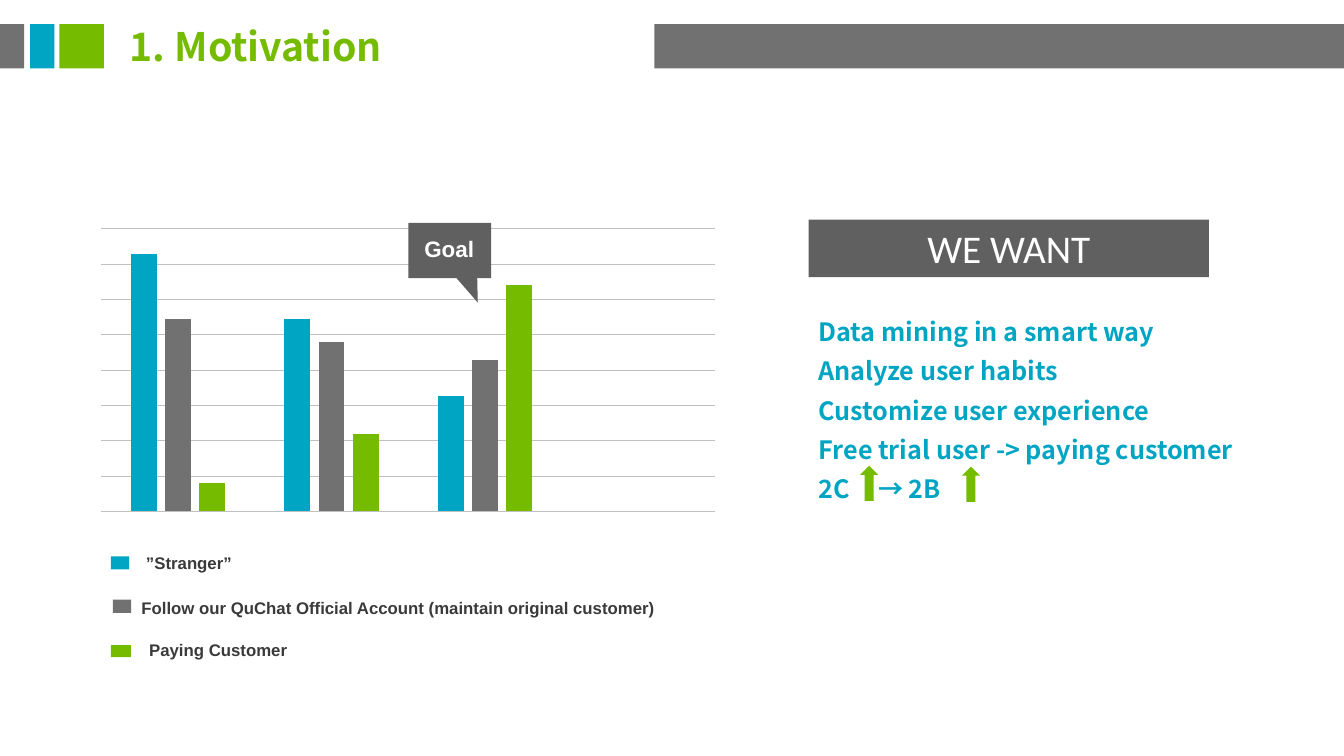
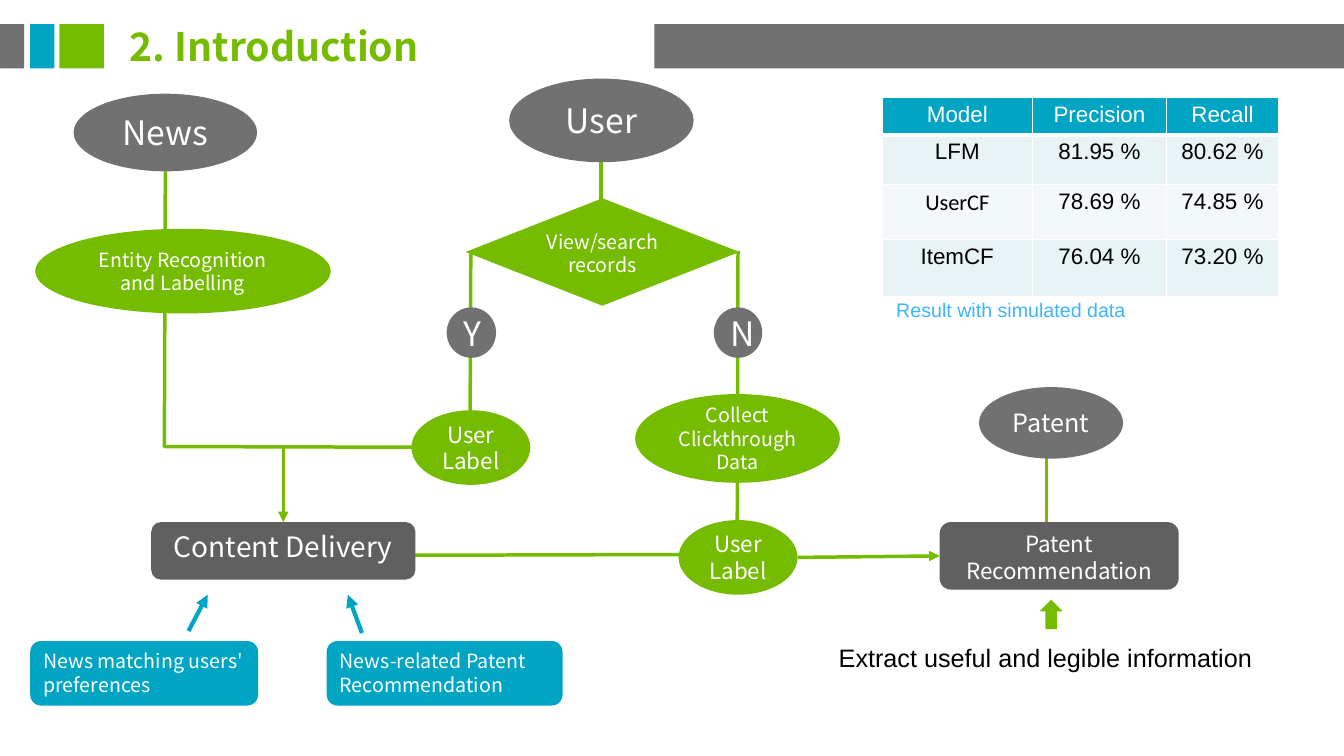
from lxml import etree
from pptx import Presentation
from pptx.chart.data import CategoryChartData
from pptx.dml.color import RGBColor
from pptx.enum.chart import XL_CHART_TYPE
from pptx.enum.shapes import MSO_CONNECTOR, MSO_SHAPE
from pptx.enum.text import MSO_ANCHOR, PP_ALIGN
from pptx.oxml import parse_xml
from pptx.oxml.ns import nsdecls, qn
from pptx.util import Inches, Pt

RECT, ROUNDED = MSO_SHAPE.RECTANGLE, MSO_SHAPE.ROUNDED_RECTANGLE
OVAL, DIAMOND = MSO_SHAPE.OVAL, MSO_SHAPE.DIAMOND
UP_ARROW, CALLOUT = MSO_SHAPE.UP_ARROW, MSO_SHAPE.RECTANGULAR_CALLOUT
LEFT, CENTER = PP_ALIGN.LEFT, PP_ALIGN.CENTER
TOP, MIDDLE = MSO_ANCHOR.TOP, MSO_ANCHOR.MIDDLE
STRAIGHT = MSO_CONNECTOR.STRAIGHT
COLUMNS = XL_CHART_TYPE.COLUMN_CLUSTERED
SANS, ARIAL, CALIBRI = "Noto Sans CJK SC", "Arial", "Calibri"
COLORS = {
    name: RGBColor.from_string(value)
    for name, value in {
        "blue": "00A5C4", "gray": "717171", "green": "75BB00", "dark": "606060",
        "white": "FFFFFF", "black": "000000", "ink": "3A3A3A", "sky": "3DB4FF",
        "grid": "C0C0C0", "odd": "E7F3F4", "even": "F3F9FA",
    }.items()
}


def add_block(slide, geometry, box, fill=None, text="", size=14, color="white",
              font=SANS, bold=False, align=CENTER, anchor=TOP):
    place = [Inches(value) for value in box]
    if geometry is None:
        block = slide.shapes.add_textbox(*place)
    else:
        block = slide.shapes.add_shape(geometry, *place)
        block.shadow.inherit = False
        block.fill.solid()
        block.fill.fore_color.rgb = COLORS[fill]
        block.line.fill.background()
    if text:
        frame = block.text_frame
        frame.word_wrap = True
        frame.vertical_anchor = anchor
        frame.text = text
        for paragraph in frame.paragraphs:
            paragraph.alignment = align
            for run in paragraph.runs:
                run.font.name = font
                run.font.size = Pt(size)
                run.font.bold = bold
                run.font.color.rgb = COLORS[color]
    return block


def add_line(slide, ends, color="green", width=2.5, arrow=False):
    line = slide.shapes.add_connector(STRAIGHT, *[Inches(value) for value in ends])
    line.line.color.rgb = COLORS[color]
    line.line.width = Pt(width)
    if arrow:
        etree.SubElement(line.line._get_or_add_ln(), qn("a:tailEnd"), type="triangle")
    etree.SubElement(line._element.spPr, qn("a:effectLst"))
    return line


prs = Presentation()
prs.slide_width, prs.slide_height = Inches(13.33), Inches(7.5)

slides = []
for title in ("1. Motivation", "2. Introduction"):
    slide = prs.slides.add_slide(prs.slide_layouts[6])
    for left, width, color in ((0, 0.24, "gray"), (0.3, 0.24, "blue"),
                               (0.59, 0.44, "green"), (6.49, 6.84, "gray")):
        add_block(slide, RECT, (left, 0.24, width, 0.44), color)
    add_block(slide, None, (1.19, 0.17, 5.29, 0.57), text=title, size=28,
              color="green", bold=True, align=LEFT)
    slides.append(slide)
motivation, introduction = slides

customer_data = CategoryChartData()
customer_data.categories = ["1", "2", "3", "4"]
customer_data.add_series("Series 1", (100, 75, 45, None))
customer_data.add_series("Series 2", (75, 66, 59, None))
customer_data.add_series("Series 3", (11, 30, 88, None))
customers = motivation.shapes.add_chart(
    COLUMNS, Inches(0.81), Inches(2.08), Inches(6.48), Inches(3.15), customer_data).chart
customers.has_legend = False
customers.has_title = False
customers.font.name = ARIAL
customers.font.size = Pt(10)
customers.font.color.rgb = COLORS["black"]
customers.category_axis.visible = False
amount = customers.value_axis
amount.visible = False
amount.minimum_scale, amount.maximum_scale, amount.major_unit = 0, 110, 13.75
amount.has_major_gridlines = True
amount.major_gridlines.format.line.color.rgb = COLORS["grid"]
amount.major_gridlines.format.line.width = Pt(0.25)
columns = customers.plots[0]
columns.gap_width, columns.overlap = 230, -32
columns.vary_by_categories = False
for series, color in zip(columns.series, ("blue", "gray", "green")):
    series.format.fill.solid()
    series.format.fill.fore_color.rgb = COLORS[color]
plot_area = customers._chartSpace.chart.plotArea
for old_layout in plot_area.findall(qn("c:layout")):
    plot_area.remove(old_layout)
plot_area.insert(0, parse_xml(
    f'<c:layout {nsdecls("c")}><c:manualLayout><c:layoutTarget val="inner"/>'
    '<c:xMode val="edge"/><c:yMode val="edge"/><c:x val="0.03"/><c:y val="0.06"/>'
    '<c:w val="0.94"/><c:h val="0.89"/></c:manualLayout></c:layout>'))

for key_box, color, label_box, label, align in (
    ((1.1, 5.52, 0.18, 0.13), "blue", (1.35, 5.43, 1.57, 0.3), "”Stranger”", LEFT),
    ((1.12, 5.95, 0.18, 0.13), "gray", (1.14, 5.88, 5.62, 0.3),
     "Follow our QuChat Official Account (maintain original customer)", CENTER),
    ((1.1, 6.4, 0.2, 0.12), "green", (1, 6.3, 2.33, 0.3), "Paying Customer", CENTER),
):
    add_block(motivation, RECT, key_box, color)
    add_block(motivation, None, label_box, text=label, size=12, color="ink",
              font=ARIAL, bold=True, align=align)

goal = add_block(motivation, CALLOUT, (4.05, 2.21, 0.82, 0.55), "dark")
goal.adjustments[0], goal.adjustments[1] = 0.34, 0.94
add_block(motivation, None, (2.06, 2.28, 4.79, 0.41), text="Goal", size=16,
          font=ARIAL, bold=True)

add_block(motivation, RECT, (8.02, 2.18, 3.97, 0.57), "dark", "WE WANT", 28, font=CALIBRI)
wishes = add_block(
    motivation, None, (8.02, 3, 4.89, 2.07),
    text="Data mining in a smart way\nAnalyze user habits\nCustomize user experience\n"
         "Free trial user -> paying customer\n2C\t→ 2B",
    size=18, color="blue", bold=True, align=LEFT).text_frame.paragraphs
for wish in wishes:
    wish.line_spacing = 1.3
tabs = etree.SubElement(wishes[-1]._p.get_or_add_pPr(), qn("a:tabLst"))
etree.SubElement(tabs, qn("a:tab"), pos=str(Inches(0.59)), algn="l")
for left, top in ((8.53, 4.62), (9.54, 4.63)):
    add_block(motivation, UP_ARROW, (left, top, 0.18, 0.35), "green")

records = add_block(introduction, DIAMOND, (4.6, 1.96, 2.75, 1.08), "green",
                    "View/search\nrecords")
records.line.color.rgb = COLORS["white"]
records.line.width = Pt(0.75)

for ends in ((1.64, 1.7, 1.63, 4.44), (1.63, 4.43, 5.22, 4.44), (5.96, 1.61, 5.96, 2)):
    add_line(introduction, ends)
for ends in ((4.67, 2.5, 4.66, 4.73), (7.32, 2.49, 7.31, 5.8),
             (7.18, 5.5, 3.64, 5.51), (10.38, 4.54, 10.38, 5.3)):
    add_line(introduction, ends, arrow=True)
for ends in ((1.87, 6.26, 2.06, 5.9), (3.59, 6.28, 3.45, 5.9)):
    add_line(introduction, ends, "blue", 3, True)
to_delivery = add_line(introduction, (2.81, 4.43, 2.81, 5.18), arrow=True)
to_patent = add_line(introduction, (7.91, 5.53, 9.32, 5.52), arrow=True)

for box, fill, text, size in (
    ((0.73, 0.93, 1.82, 0.77), "gray", "News", 24),
    ((5.05, 0.78, 1.83, 0.83), "gray", "User", 24),
    ((0.35, 2.27, 2.93, 0.84), "green", "Entity Recognition\nand Labelling", 14),
    ((4.43, 3.05, 0.49, 0.5), "gray", "Y", 24),
    ((7.08, 3.05, 0.48, 0.5), "gray", "N", 24),
    ((4.08, 4.07, 1.18, 0.74), "green", "User Label", 16),
    ((6.3, 3.91, 2.03, 0.88), "green", "Collect Clickthrough\vData", 14),
    ((6.73, 5.16, 1.18, 0.74), "green", "User Label", 16),
    ((9.71, 3.84, 1.43, 0.71), "gray", "Patent", 18),
):
    add_block(introduction, OVAL, box, fill, text, size, anchor=MIDDLE)

for left, width, text in ((0.3, 2.26, "News matching users' preferences"),
                          (3.24, 2.34, "News-related Patent Recommendation")):
    add_block(introduction, ROUNDED, (left, 6.36, width, 0.64), "blue", text, align=LEFT)
delivery = add_block(introduction, ROUNDED, (1.5, 5.18, 2.62, 0.57), "dark",
                     "Content Delivery", 20)
recommendation = add_block(introduction, ROUNDED, (9.32, 5.18, 2.37, 0.67), "dark",
                           "Patent Recommendation", 16)
to_delivery.end_connect(delivery, 0)
to_patent.end_connect(recommendation, 1)

scores = (("Model", "Precision", "Recall"), ("LFM", "81.95 %", "80.62 %"),
          ("UserCF", "78.69 %", "74.85 %"), ("ItemCF", "76.04 %", "73.20 %"))
results = introduction.shapes.add_table(
    4, 3, Inches(8.75), Inches(0.97), Inches(3.93), Inches(1.94)).table
for column, width in zip(results.columns, (1.49, 1.33, 1.11)):
    column.width = Inches(width)
for row, height in zip(results.rows, (0.33, 0.49, 0.55, 0.57)):
    row.height = Inches(height)
for r, (row, values) in enumerate(zip(results.rows, scores)):
    for cell, value in zip(row.cells, values):
        cell.text_frame.text = value
        paragraph = cell.text_frame.paragraphs[0]
        paragraph.alignment = CENTER
        font = paragraph.runs[0].font
        font.name = CALIBRI if value == "UserCF" else ARIAL
        font.size = Pt(16)
        font.bold = False
        font.color.rgb = COLORS["black" if r else "white"]
        properties = cell._tc.get_or_add_tcPr()
        for side in ("lnL", "lnR", "lnT", "lnB"):
            weight = 3 if r == 0 and side == "lnB" else 1
            border = etree.SubElement(properties, qn(f"a:{side}"), w=str(Pt(weight)))
            paint = etree.SubElement(border, qn("a:solidFill"))
            etree.SubElement(paint, qn("a:srgbClr"), val=str(COLORS["white"]))
        cell.fill.solid()
        cell.fill.fore_color.rgb = COLORS[("blue", "odd", "even", "odd")[r]]

add_block(introduction, None, (8.79, 2.91, 2.49, 0.34), text="Result with simulated data",
          color="sky", font=ARIAL, align=LEFT)
add_block(introduction, None, (8.22, 6.32, 4.41, 0.4),
          text="Extract useful and legible information", size=18, color="black",
          font=ARIAL, align=LEFT)
add_block(introduction, UP_ARROW, (10.31, 5.95, 0.23, 0.29), "green")

prs.save("out.pptx")
